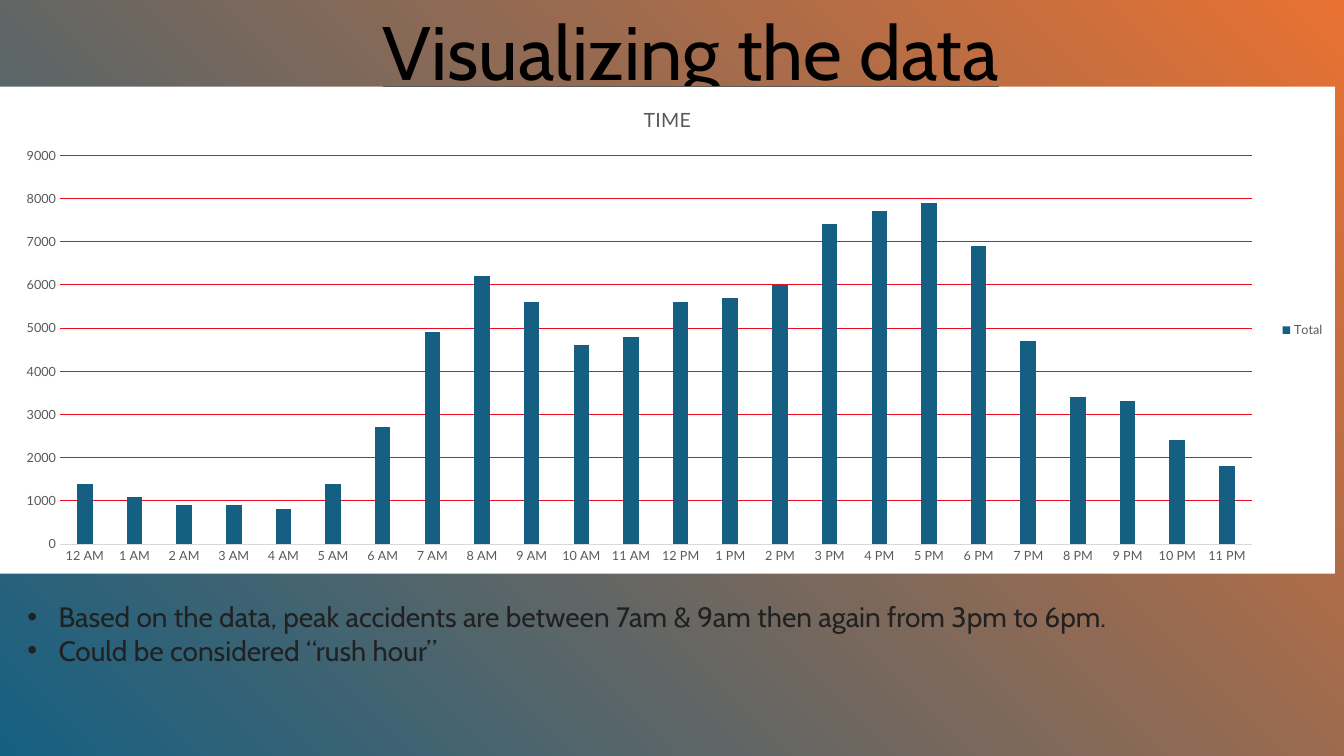
from lxml.etree import SubElement
from pptx import Presentation
from pptx.chart.data import CategoryChartData
from pptx.dml.color import RGBColor
from pptx.enum.chart import XL_CHART_TYPE, XL_LEGEND_POSITION, XL_TICK_MARK
from pptx.enum.shapes import MSO_SHAPE
from pptx.enum.text import MSO_ANCHOR, MSO_AUTO_SIZE, PP_ALIGN
from pptx.oxml import parse_xml
from pptx.oxml.ns import nsdecls, qn
from pptx.util import Inches, Pt

HEAD = "Visualizing the data"
NOTES = [
    "Based on the data, peak accidents are between 7am & 9am then again from 3pm to 6pm.",
    "Could be considered “rush hour”",
]
HOURS = [f"{h} {half}" for half in ("AM", "PM") for h in (12, *range(1, 12))]
COUNTS = [
    1400, 1100, 900, 900, 800, 1400, 2700, 4900, 6200, 5600, 4600, 4800,
    5600, 5700, 6000, 7400, 7700, 7900, 6900, 4700, 3400, 3300, 2400, 1800,
]
BLUE, ORANGE, GRAY = "156082", "E97132", "595959"
AREAS = {
    "back": (0, 0, 100, 100),
    "head": (25.66, 0, 51.46, 13.47),
    "chart": (0, 11.47, 99.33, 64.4),
    "notes": (1.28, 78.67, 96.77, 10.27),
}

deck = Presentation()
deck.slide_width, deck.slide_height = Inches(13.33), Inches(7.5)
slide = deck.slides.add_slide(deck.slide_layouts[1])


def area(name):
    sides = (deck.slide_width, deck.slide_height) * 2
    return [int(side * part / 100) for side, part in zip(sides, AREAS[name])]


def color(code):
    return RGBColor.from_string(code)


def style(font, size, code, face="Lato"):
    font.size, font.name, font.bold = Pt(size), face, False
    font.color.rgb = color(code)


def frame(shape, name, wrap):
    shape.left, shape.top, shape.width, shape.height = area(name)
    text = shape.text_frame
    text.word_wrap = wrap
    text.auto_size = MSO_AUTO_SIZE.NONE
    text.vertical_anchor = MSO_ANCHOR.TOP
    return text


def write(para, words, size, code):
    run = para.add_run()
    run.text = words
    style(run.font, size, code, "Cabin")
    return run


def paint():
    back = slide.shapes.add_shape(MSO_SHAPE.RECTANGLE, *area("back"))
    back.shadow.inherit = False
    back.line.fill.background()
    back.fill.gradient()
    back.fill.gradient_angle = 45
    for stop, code, place in zip(back.fill.gradient_stops, (BLUE, ORANGE), (0, 1)):
        stop.color.rgb = color(code)
        stop.position = place
    slide.shapes._spTree.insert(2, back._element)


def title():
    para = frame(slide.shapes.title, "head", False).paragraphs[0]
    para.alignment = PP_ALIGN.CENTER
    write(para, HEAD, 54, "000000").font.underline = True


def notes():
    text = frame(slide.placeholders[1], "notes", True)
    for i, words in enumerate(NOTES):
        para = text.add_paragraph() if i else text.paragraphs[0]
        para.space_before = Pt(0)
        props = para._p.get_or_add_pPr()
        props.set("marL", str(Inches(0.31)))
        props.set("indent", str(-Inches(0.31)))
        SubElement(props, qn("a:buFont")).set("typeface", "Arial")
        SubElement(props, qn("a:buChar")).set("char", "•")
        write(para, words, 20, "212121")


def graph():
    data = CategoryChartData()
    data.categories = HOURS
    data.add_series("Total", COUNTS)
    chart = slide.shapes.add_chart(
        XL_CHART_TYPE.COLUMN_CLUSTERED, *area("chart"), data
    ).chart
    style(chart.font, 10, "000000")
    chart._chartSpace.find(qn("c:chart")).addnext(parse_xml(
        f'<c:spPr {nsdecls("c", "a")}><a:solidFill><a:srgbClr val="FFFFFF"/>'
        "</a:solidFill><a:ln><a:noFill/></a:ln></c:spPr>"
    ))
    chart.has_title = True
    run = chart.chart_title.text_frame.paragraphs[0].add_run()
    run.text = "TIME"
    style(run.font, 14, GRAY)
    chart.chart_title.include_in_layout = False
    chart.has_legend = True
    chart.legend.position = XL_LEGEND_POSITION.RIGHT
    chart.legend.include_in_layout = False
    style(chart.legend.font, 9, GRAY)

    plot = chart.plots[0]
    plot.gap_width, plot.overlap = 219, -27
    plot.vary_by_categories = False
    bars = plot.series[0]
    bars.invert_if_negative = False
    bars.format.fill.solid()
    bars.format.fill.fore_color.rgb = color(BLUE)

    base, scale = chart.category_axis, chart.value_axis
    for axis in (base, scale):
        axis.major_tick_mark = axis.minor_tick_mark = XL_TICK_MARK.NONE
        style(axis.tick_labels.font, 9, GRAY)
    scale.minimum_scale, scale.maximum_scale, scale.major_unit = 0, 9000, 1000
    scale.format.line.fill.background()
    for part, code in ((base, "D9D9D9"), (scale.major_gridlines, "EC0C21")):
        part.format.line.color.rgb = color(code)
        part.format.line.width = Pt(0.75)


paint()
title()
graph()
notes()
deck.save("out.pptx")
